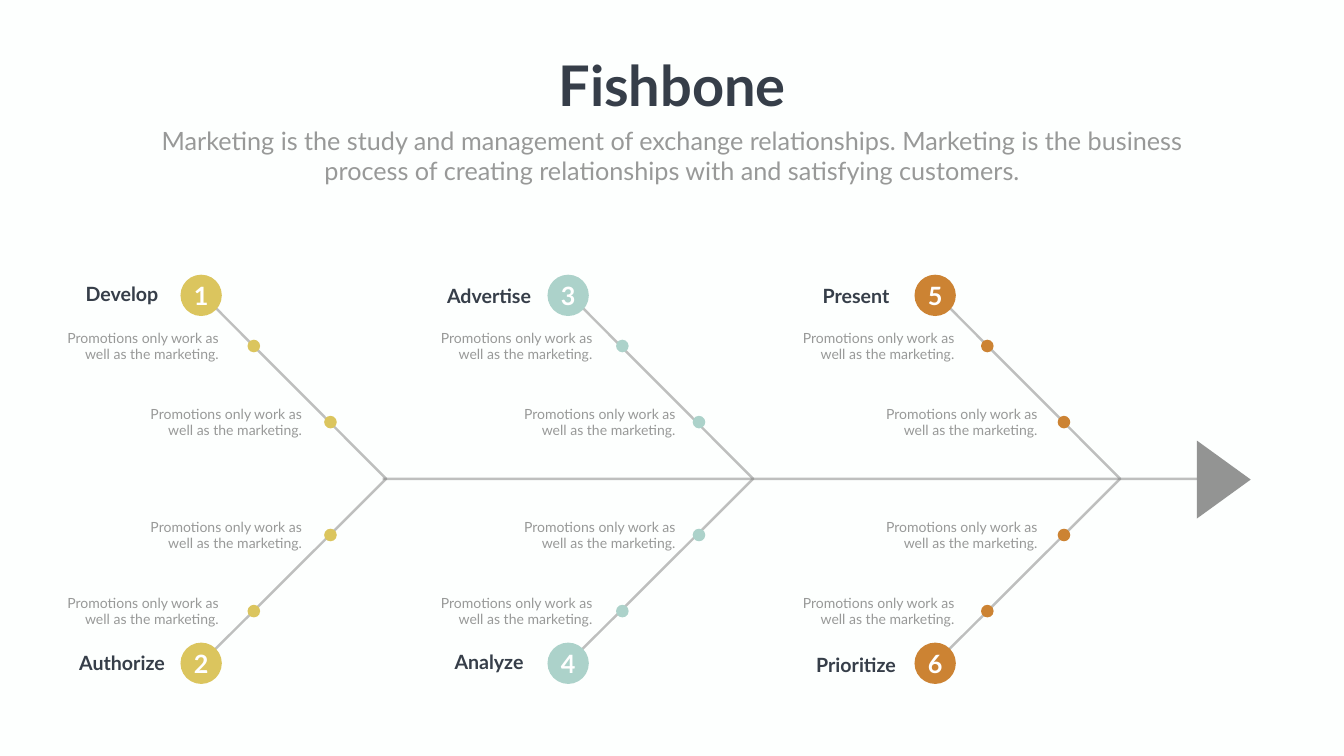
"""Build a fishbone slide with three pairs of numbered ribs."""
from lxml import etree
from pptx import Presentation
from pptx.dml.color import RGBColor
from pptx.enum.shapes import MSO_CONNECTOR, MSO_SHAPE
from pptx.enum.text import MSO_ANCHOR, MSO_AUTO_SIZE, PP_ALIGN
from pptx.oxml.ns import qn
from pptx.util import Inches, Pt

STRAIGHT = MSO_CONNECTOR.STRAIGHT
OVAL, ARROW = MSO_SHAPE.OVAL, MSO_SHAPE.ISOSCELES_TRIANGLE
TOP, MIDDLE = MSO_ANCHOR.TOP, MSO_ANCHOR.MIDDLE
CENTER, RIGHT = PP_ALIGN.CENTER, PP_ALIGN.RIGHT
FIXED = MSO_AUTO_SIZE.NONE

THEME = {
    "font": "Lato", "back": "FDFFFE", "dark": "363E49", "grey": "989998",
    "white": "FFFFFF", "bone": "808080", "head": "727372",
    "title": 80, "lead": 36, "number": 36, "label": 28, "note": 20,
}
TITLE = "Fishbone"
LEAD = ("Marketing is the study and management of exchange relationships. "
        "Marketing is the business process of creating relationships with "
        "and satisfying customers.")
NOTE = "Promotions only work as well as the marketing."
RIBS = [
    {"color": "DBC55E", "dot": 4.91, "note": 1.05,
     "ends": [("1", "Develop", 5.55), ("2", "Authorize", 12.86)]},
    {"color": "ACD2CA", "dot": 12.22, "note": 8.46,
     "ends": [("3", "Advertise", 5.58), ("4", "Analyze", 12.84)]},
    {"color": "CC8333", "dot": 19.46, "note": 15.64,
     "ends": [("5", "Present", 5.59), ("6", "Prioritize", 12.91)]},
]
RIB_X, RIB_STEP, RIB_W = 3.99, 7.28, 3.67
RIB_TOP, SPINE_Y, RIB_END = 5.82, 9.5, 13.16
SPINE = (7.59, 23.74)
DISC, DISC_TOPS = 0.82, (5.45, 12.75)
DOT, DOT_STEP = 0.25, 1.52
ROWS = [(0, 6.74), (1, 8.25), (1, 10.49), (0, 12)]
NOTE_STEP, NOTE_RISE = 1.65, 0.26


def rgb(name):
    return RGBColor.from_string(THEME.get(name, name))


def fade(shape, percent):
    color = next(shape._element.spPr.iter(qn("a:srgbClr")))
    etree.SubElement(color, qn("a:alpha")).set("val", str(percent * 1000))


def stroke(shape):
    shape.line.color.rgb = rgb("bone")
    shape.line.width = Pt(3.5)
    fade(shape, 50)


def write(shape, text, size, color, bold=False, align=CENTER, anchor=TOP):
    frame = shape.text_frame
    frame.text = text
    frame.word_wrap = True
    frame.auto_size = FIXED
    frame.vertical_anchor = anchor
    para = frame.paragraphs[0]
    para.alignment = align
    font = para.runs[0].font
    font.name, font.size, font.bold = THEME["font"], Pt(THEME[size]), bold
    font.color.rgb = rgb(color)


def box(slide, at, *style, **more):
    shape = slide.shapes.add_textbox(*map(Inches, at))
    write(shape, *style, **more)


def solid(slide, kind, at, color):
    shape = slide.shapes.add_shape(kind, *map(Inches, at))
    shape.shadow.inherit = False
    shape.fill.solid()
    shape.fill.fore_color.rgb = rgb(color)
    shape.line.fill.background()
    return shape


def draw_spine(slide):
    start, end = map(Inches, SPINE)
    y = Inches(SPINE_Y)
    spine = slide.shapes.add_connector(STRAIGHT, start, y, end, y)
    stroke(spine)
    etree.SubElement(spine._element.spPr, qn("a:effectLst"))
    head = solid(slide, ARROW, (23.5, 8.98, 1.55, 1.07), "head")
    head.rotation = 90
    fade(head, 76)


def draw_bone(slide, x):
    pen = slide.shapes.build_freeform(Inches(x), Inches(RIB_TOP))
    points = [(x + RIB_W, SPINE_Y), (x, RIB_END)]
    pen.add_line_segments([tuple(map(Inches, p)) for p in points], close=False)
    bone = pen.convert_to_shape()
    bone.shadow.inherit = False
    bone.fill.background()
    stroke(bone)


def draw_rib(slide, x, rib):
    draw_bone(slide, x)
    left = x - DISC / 2
    for (number, label, top), y in zip(rib["ends"], DISC_TOPS):
        disc = solid(slide, OVAL, (left, y, DISC, DISC), rib["color"])
        frame = disc.text_frame
        frame.margin_left = frame.margin_right = 0
        frame.margin_top = frame.margin_bottom = 0
        write(disc, number, "number", "white", True, anchor=MIDDLE)
        box(slide, (left - 2.37, top, 2.42, 0.57), label, "label", "dark", True)
    for step, y in ROWS:
        dot = rib["dot"] + step * DOT_STEP
        solid(slide, OVAL, (dot, y, DOT, DOT), rib["color"])
        note = rib["note"] + step * NOTE_STEP
        box(slide, (note, y - NOTE_RISE, 3.39, 0.77), NOTE, "note", "grey",
            align=RIGHT)


def main():
    deck = Presentation()
    deck.slide_width, deck.slide_height = Inches(26.66), Inches(15)
    slide = deck.slides.add_slide(deck.slide_layouts[5])
    slide.background.fill.solid()
    slide.background.fill.fore_color.rgb = rgb("back")
    title = slide.shapes.title
    title.left, title.top = Inches(10.94), Inches(0.95)
    title.width, title.height = Inches(4.79), Inches(1.45)
    write(title, TITLE, "title", "dark", True)
    box(slide, (2.92, 2.44, 20.82, 1.31), LEAD, "lead", "grey")
    draw_spine(slide)
    for index, rib in enumerate(RIBS):
        draw_rib(slide, RIB_X + index * RIB_STEP, rib)
    deck.save("out.pptx")


if __name__ == "__main__":
    main()
